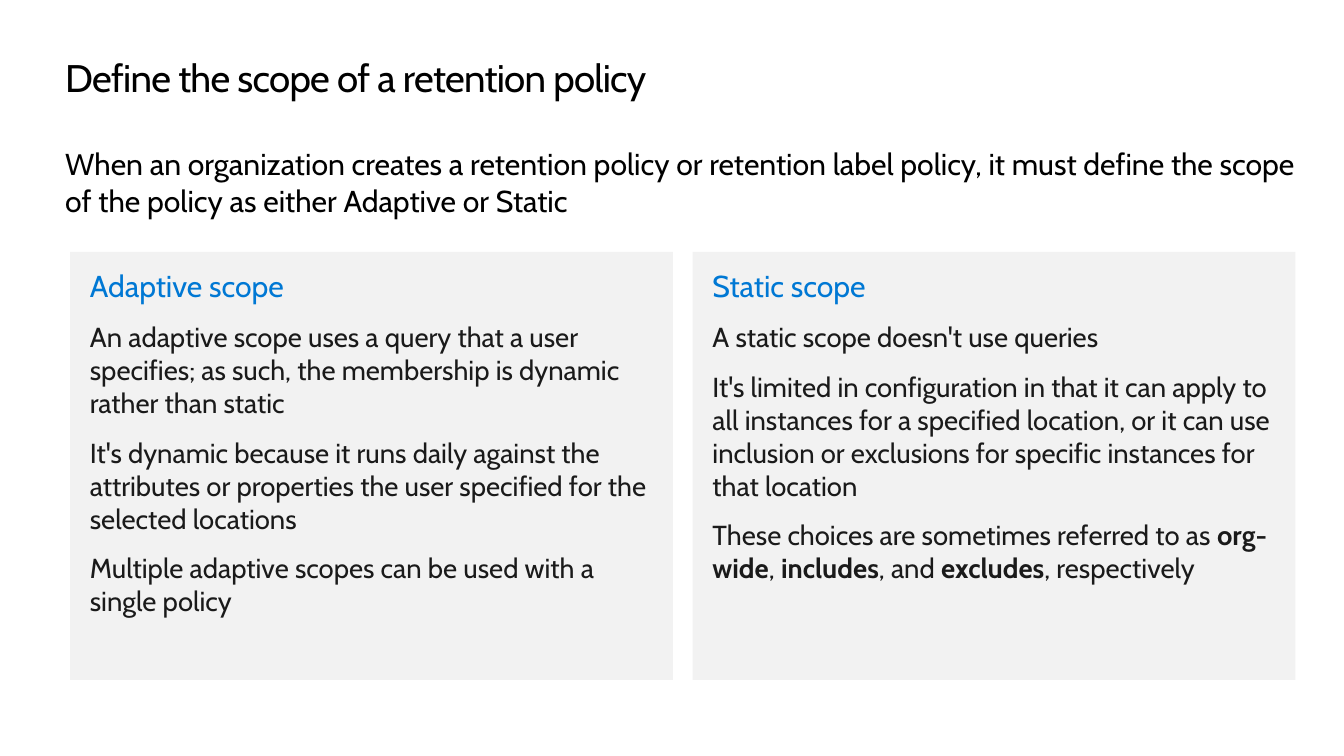
from pptx import Presentation
from pptx.dml.color import RGBColor
from pptx.enum.shapes import MSO_SHAPE as Shape
from pptx.enum.text import MSO_ANCHOR as Anchor, MSO_AUTO_SIZE as AutoSize, PP_ALIGN as Align
from pptx.util import Inches, Pt

BLACK = RGBColor(0x00, 0x00, 0x00)
INK = RGBColor(0x1A, 0x1A, 0x1A)
BLUE = RGBColor(0x00, 0x78, 0xD4)
PANEL_GRAY = RGBColor(0xF2, 0xF2, 0xF2)
FONT = "Cabin"

SLIDE_WIDTH, SLIDE_HEIGHT = Inches(13.6), Inches(7.65)
COLUMN, ROW = SLIDE_WIDTH / 136, SLIDE_HEIGHT / 76.5
TITLE_BOX = (6.6, 5.5, 122.9, 4.8)
INTRO_BOX = (6.6, 14.7, 124.5, 7.4)
SCOPES_BOX = (7.1, 25.5, 124, 43.3)
SCOPE_GAP = 2
PANEL_INSETS = (2, 1.6, 1, 1.6)

TITLE = "Define the scope of a retention policy"
INTRO = (
    "When an organization creates a retention policy or retention label policy, "
    "it must define the scope of the policy as either Adaptive or Static"
)
SCOPES = [
    ("Adaptive scope", [
        "An adaptive scope uses a query that a user specifies; as such, "
        "the membership is dynamic rather than static",
        "It's dynamic because it runs daily against the attributes or properties "
        "the user specified for the selected locations",
        "Multiple adaptive scopes can be used with a single policy",
    ]),
    ("Static scope", [
        "A static scope doesn't use queries",
        "It's limited in configuration in that it can apply to all instances for a "
        "specified location, or it can use inclusion or exclusions for specific "
        "instances for that location",
        "These choices are sometimes referred to as *org-wide*, *includes*, "
        "and *excludes*, respectively",
    ]),
]


def apply_format(target, values):
    for name, value in values.items():
        setattr(target, name, value)


def to_lengths(box):
    left, top, width, height = box
    return [round(n) for n in (left * COLUMN, top * ROW, width * COLUMN, height * ROW)]


def format_frame(frame, anchor, insets=(0, 0, 0, 0)):
    left, top, right, bottom = to_lengths(insets)
    apply_format(frame, {
        "word_wrap": True, "auto_size": AutoSize.NONE, "vertical_anchor": anchor,
        "margin_left": left, "margin_top": top,
        "margin_right": right, "margin_bottom": bottom,
    })


def write(paragraph, text, size, color, space_before=0):
    apply_format(paragraph, {"alignment": Align.LEFT, "space_before": Pt(space_before)})
    for index, piece in enumerate(text.split("*")):
        run = paragraph.add_run()
        run.text = piece
        apply_format(run.font, {"name": FONT, "size": Pt(size), "bold": index % 2 == 1})
        run.font.color.rgb = color


def add_title(slide, box):
    title = slide.shapes.title
    apply_format(title, dict(zip(("left", "top", "width", "height"), to_lengths(box))))
    format_frame(title.text_frame, Anchor.TOP)
    heading = title.text_frame.paragraphs[0]
    write(heading, TITLE, 28, BLACK)
    heading.runs[0].font._element.set("spc", "-50")


def add_intro(slide, box):
    intro = slide.shapes.add_textbox(*to_lengths(box))
    format_frame(intro.text_frame, Anchor.MIDDLE)
    write(intro.text_frame.paragraphs[0], INTRO, 22, BLACK)


def add_scope(slide, box, heading, statements):
    panel = slide.shapes.add_shape(Shape.RECTANGLE, *to_lengths(box))
    panel.shadow.inherit = False
    panel.fill.solid()
    panel.fill.fore_color.rgb = PANEL_GRAY
    panel.line.fill.background()
    frame = panel.text_frame
    format_frame(frame, Anchor.TOP, PANEL_INSETS)
    write(frame.paragraphs[0], heading, 22, BLUE, 18)
    for statement in statements:
        write(frame.add_paragraph(), statement, 20, INK, 12)


def add_scopes(slide, box):
    left, top, width, height = box
    panel_width = (width - SCOPE_GAP * (len(SCOPES) - 1)) / len(SCOPES)
    for index, (heading, statements) in enumerate(SCOPES):
        panel_left = left + index * (panel_width + SCOPE_GAP)
        add_scope(slide, (panel_left, top, panel_width, height), heading, statements)


def main():
    deck = Presentation()
    apply_format(deck, {"slide_width": SLIDE_WIDTH, "slide_height": SLIDE_HEIGHT})
    slide = deck.slides.add_slide(deck.slide_layouts.get_by_name("Title Only"))
    add_title(slide, TITLE_BOX)
    add_intro(slide, INTRO_BOX)
    add_scopes(slide, SCOPES_BOX)
    deck.save("out.pptx")


if __name__ == "__main__":
    main()
